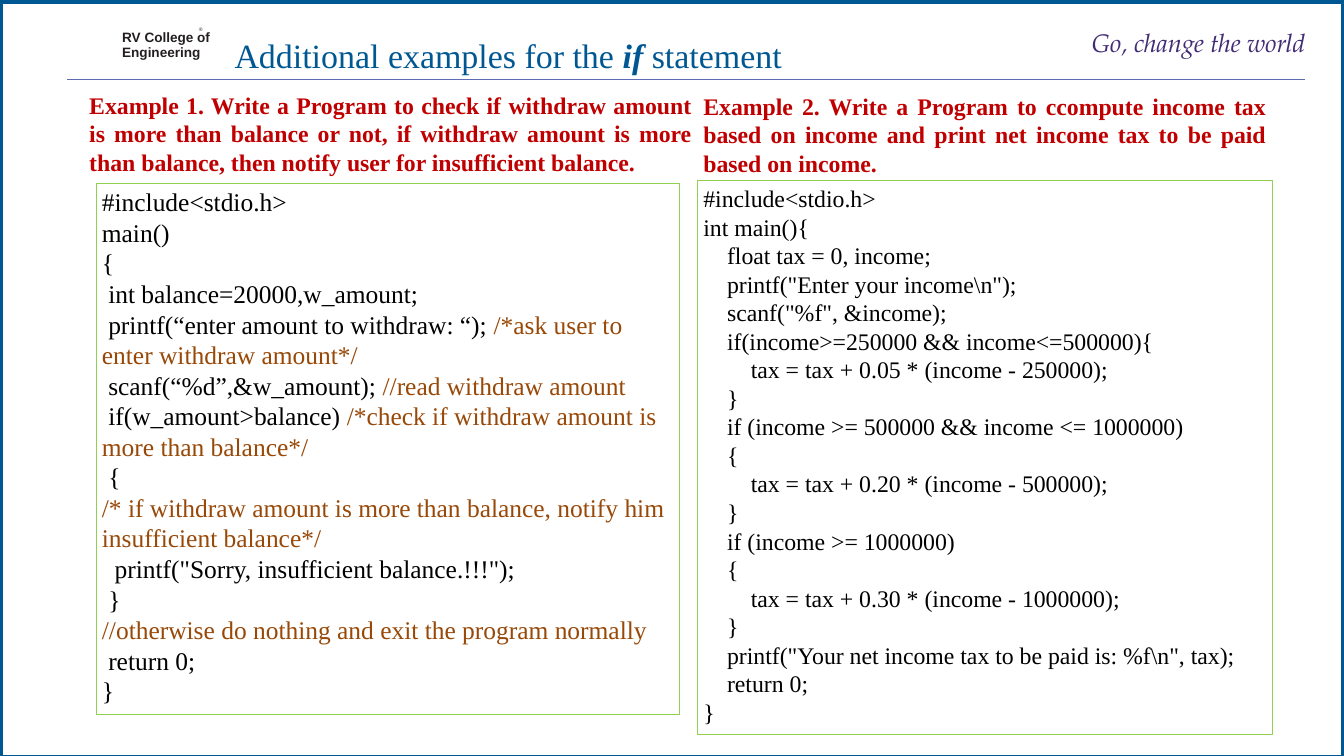
from pptx import Presentation
from pptx.dml.color import RGBColor
from pptx.enum.shapes import MSO_CONNECTOR, MSO_SHAPE
from pptx.enum.text import MSO_ANCHOR, PP_ALIGN
from pptx.oxml.ns import qn
from pptx.util import Pt
from lxml.etree import SubElement

WIDTH, HEIGHT = 1583.28, 890.64
SERIF = "Times New Roman"
BLACK, BLUE, RED, BROWN, GREEN = "000000", "005893", "C00000", "984807", "92D050"

WITHDRAW_TASK = (
    "Example 1. Write a Program to check if withdraw amount is more than balance or not, "
    "if withdraw amount is more than balance, then notify user for insufficient balance.")
# Each line holds its code and its comment
WITHDRAW_CODE = [
    ("#include<stdio.h>", ""),
    ("main()", ""),
    ("{", ""),
    (" int balance=20000,w_amount;", ""),
    (" printf(“enter amount to withdraw: “); ", "/*ask user to enter withdraw amount*/"),
    (" scanf(“%d”,&w_amount); ", "//read withdraw amount"),
    (" if(w_amount>balance) ", "/*check if withdraw amount is more than balance*/"),
    (" {", ""),
    ("", "/* if withdraw amount is more than balance, notify him insufficient balance*/"),
    ('  printf("Sorry, insufficient balance.!!!");', ""),
    (" }", ""),
    ("", "//otherwise do nothing and exit the program normally"),
    (" return 0;", ""),
    ("}", ""),
]

TAX_TASK = (
    "Example 2. Write a Program to ccompute income tax based on income and print net "
    "income tax to be paid based on income.")
TAX_CODE = [(line, "") for line in r'''#include<stdio.h>
int main(){
    float tax = 0, income;
    printf("Enter your income\n");
    scanf("%f", &income);
    if(income>=250000 && income<=500000){
        tax = tax + 0.05 * (income - 250000);
    }
    if (income >= 500000 && income <= 1000000)
    {
        tax = tax + 0.20 * (income - 500000);
    }
    if (income >= 1000000)
    {
        tax = tax + 0.30 * (income - 1000000);
    }
    printf("Your net income tax to be paid is: %f\n", tax);
    return 0;
}'''.split("\n")]


def color(value):
    return RGBColor.from_string(value)


def apply(target, formats):
    for name, value in formats.items():
        setattr(target, name, value)


def write(shape, paragraphs, font, layout=None, frame=None):
    """Fill a shape with paragraphs, each a list of (text, font changes)."""
    text_frame = shape.text_frame
    apply(text_frame, {"word_wrap": True, "vertical_anchor": MSO_ANCHOR.TOP, **(frame or {})})
    for index, runs in enumerate(paragraphs):
        paragraph = text_frame.add_paragraph() if index else text_frame.paragraphs[0]
        apply(paragraph, {"alignment": PP_ALIGN.LEFT, **(layout or {})})
        for text, changes in runs:
            run = paragraph.add_run()
            run.text = text
            formats = {**font, **changes}
            run.font.color.rgb = color(formats.pop("color"))
            apply(run.font, formats)


def add_text(slide, box, *content, **options):
    write(slide.shapes.add_textbox(*map(Pt, box)), *content, **options)


def add_box(slide, box, line_color, line_width, fill=None):
    shape = slide.shapes.add_shape(MSO_SHAPE.RECTANGLE, *map(Pt, box))
    shape.shadow.inherit = False
    if fill:
        shape.fill.solid()
        shape.fill.fore_color.rgb = color(fill)
    else:
        shape.fill.background()
    shape.line.color.rgb = color(line_color)
    shape.line.width = Pt(line_width)
    return shape


def add_header(slide, left, top, width, height):
    # Rule along the bottom of the header
    bottom = top + height
    rule = slide.shapes.add_connector(
        MSO_CONNECTOR.STRAIGHT, Pt(left), Pt(bottom), Pt(left + width), Pt(bottom))
    rule.line.color.rgb = color("5E6DB3")
    rule.line.width = Pt(1.25)
    SubElement(rule._element.spPr, qn("a:effectLst"))

    # College name with its small registered sign
    tight = {"margin_left": 0, "margin_right": 0, "margin_top": 0, "margin_bottom": 0}
    college = {"name": "Arial", "size": Pt(16), "bold": True, "color": "231F20"}
    add_text(slide, (left + 64.8, top + 4, 108, 39),
             [[("RV College of", {})], [("Engineering", {})]], college,
             {"line_spacing": Pt(17.9)}, tight)
    add_text(slide, (left + 155, top, 8, 8),
             [[("®", {})]], {**college, "size": Pt(6), "bold": False}, frame=tight)

    # Motto at the right end
    add_text(slide, (left + width - 289.5, top + 1.4, 289.5, 37), [[("Go, change the world", {})]],
             {"name": "TeX Gyre Pagella", "size": Pt(30), "italic": True, "color": "422C75"},
             {"alignment": PP_ALIGN.RIGHT}, tight)

    # Slide title
    add_text(slide, (left + 190, top + 6.4, 667, 55),
             [[("Additional examples for the ", {}), ("if", {"bold": True, "italic": True}),
               (" statement", {})]],
             {"name": SERIF, "size": Pt(40), "color": BLUE}, frame={"word_wrap": False})


def add_example(slide, task_box, code_box, task, code, code_size):
    # Code listing
    listing = [[(text, {"color": tint}) for text, tint in ((source, BLACK), (comment, BROWN)) if text]
               for source, comment in code]
    write(add_box(slide, code_box, GREEN, 0.75), listing, {"name": SERIF, "size": Pt(code_size)})
    # Task above the listing
    add_text(slide, task_box, [[(task, {})]],
             {"name": SERIF, "size": Pt(28), "bold": True, "color": RED},
             {"alignment": PP_ALIGN.JUSTIFY})


def main():
    presentation = Presentation()
    presentation.slide_width, presentation.slide_height = Pt(WIDTH), Pt(HEIGHT)
    slide = presentation.slides.add_slide(presentation.slide_layouts[6])
    add_box(slide, (0, 1.4, WIDTH, HEIGHT), BLUE, 6, "FFFFFF")
    add_header(slide, 79.2, 31, 1458.7, 62.6)
    add_example(slide, (98, 103, 723.6, 109), (113, 216, 687.6, 625),
                WITHDRAW_TASK, WITHDRAW_CODE, 30)
    add_example(slide, (821.5, 104.4, 676.8, 113), (821.5, 213, 676.8, 651.6),
                TAX_TASK, TAX_CODE, 28)
    presentation.save("out.pptx")


if __name__ == "__main__":
    main()
